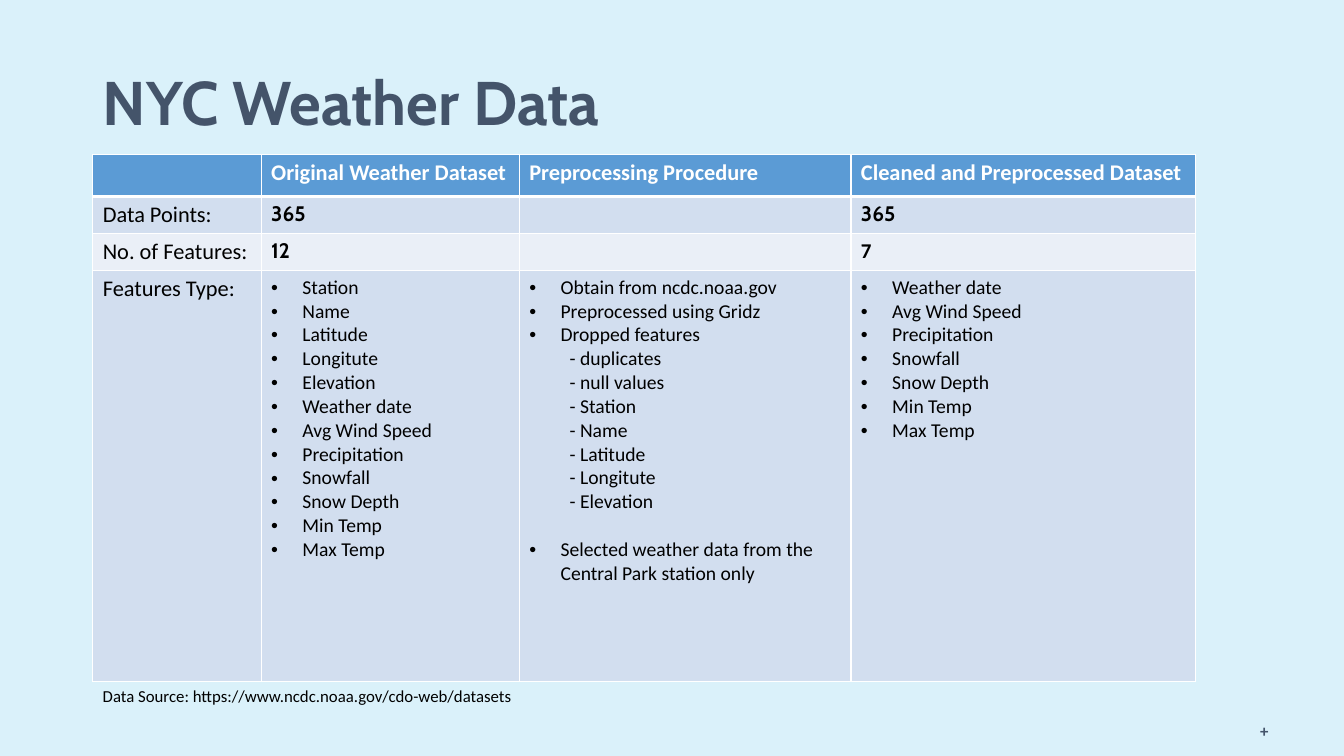
from lxml import etree
from pptx import Presentation
from pptx.dml.color import RGBColor
from pptx.enum.text import MSO_ANCHOR
from pptx.oxml.ns import qn
from pptx.util import Inches, Pt

MIDDLE = MSO_ANCHOR.MIDDLE
TOP = MSO_ANCHOR.TOP

SKY = RGBColor(0xDA, 0xF1, 0xFA)
SLATE = RGBColor(0x44, 0x54, 0x6A)
BLACK = RGBColor(0, 0, 0)
WHITE = RGBColor(0xFF, 0xFF, 0xFF)
HEADER_BLUE = RGBColor(0x5B, 0x9B, 0xD5)
DARK_BAND = RGBColor(0xD2, 0xDE, 0xEF)
LIGHT_BAND = RGBColor(0xEA, 0xEF, 0xF7)

BODY_FONT = "Calibri"
DISPLAY_FONT = "Cabin"

HEADINGS = ["", "Original Weather Dataset", "Preprocessing Procedure",
            "Cleaned and Preprocessed Dataset"]
COUNTS = [["Data Points:", "365", "", "365"],
          ["No. of Features:", "12", "", "7"]]
LOCATION = ["Station", "Name", "Latitude", "Longitute", "Elevation"]
MEASURES = ["Weather date", "Avg Wind Speed", "Precipitation", "Snowfall",
            "Snow Depth", "Min Temp", "Max Temp"]
DROPPED = ["- " + feature for feature in ["duplicates", "null values"] + LOCATION]
PROCEDURE = ["Obtain from ncdc.noaa.gov", "Preprocessed using Gridz",
             "Dropped features", *DROPPED,
             "Selected weather data from the Central Park station only"]


class WeatherSlide:
    """Holds the slide and draws its styled elements."""

    def __init__(self, deck):
        self.slide = deck.slides.add_slide(deck.slide_layouts[6])
        background = self.slide.background.fill
        background.solid()
        background.fore_color.rgb = SKY

    def style(self, paragraph, size, color, bold=False, font=BODY_FONT):
        for run in paragraph.runs:
            run.font.size = Pt(size)
            run.font.name = font
            run.font.bold = bold
            run.font.color.rgb = color
        if not paragraph.runs:
            etree.SubElement(paragraph._p, qn("a:endParaRPr"), sz=str(size * 100))

    def text(self, words, left, top, width, height, size, color,
             bold=False, font=BODY_FONT, anchor=TOP, spacing=None):
        box = self.slide.shapes.add_textbox(
            Inches(left), Inches(top), Inches(width), Inches(height))
        frame = box.text_frame
        frame.word_wrap = True
        frame.vertical_anchor = anchor
        frame.text = words
        frame.paragraphs[0].line_spacing = spacing
        self.style(frame.paragraphs[0], size, color, bold, font)

    def table(self, left, top, widths, heights):
        grid = self.slide.shapes.add_table(
            len(heights), len(widths), Inches(left), Inches(top),
            Inches(sum(widths)), Inches(sum(heights))).table
        for column, width in zip(grid.columns, widths):
            column.width = Inches(width)
        for row, height in zip(grid.rows, heights):
            row.height = Inches(height)
        return grid

    def paint(self, cell, color, top=1, bottom=1):
        properties = cell._tc.get_or_add_tcPr()
        for side, points in (("L", 1), ("R", 1), ("T", top), ("B", bottom)):
            line = etree.SubElement(properties, qn("a:ln" + side), w=str(Pt(points)))
            fill = etree.SubElement(line, qn("a:solidFill"))
            etree.SubElement(fill, qn("a:srgbClr"), val=str(WHITE))
        cell.fill.solid()
        cell.fill.fore_color.rgb = color

    def label(self, cell, words, size=16, color=BLACK, bold=False, font=BODY_FONT):
        cell.text = words
        self.style(cell.text_frame.paragraphs[0], size, color, bold, font)

    def bullets(self, cell, items):
        cell.text = "\n".join(items)
        after_dash = False
        for paragraph, item in zip(cell.text_frame.paragraphs, items):
            dashed = item.startswith("- ")
            properties = paragraph._p.get_or_add_pPr()
            if dashed:
                properties.set("marL", str(Inches(0.4)))
            else:
                properties.set("marL", str(Inches(0.31)))
                properties.set("indent", str(Inches(-0.31)))
                if after_dash:
                    paragraph.space_before = Pt(17)
                etree.SubElement(properties, qn("a:buFont"), typeface="Arial")
                etree.SubElement(properties, qn("a:buChar"), char="•")
            self.style(paragraph, 14, BLACK)
            after_dash = dashed


def main():
    deck = Presentation()
    deck.slide_width = Inches(13.33)
    deck.slide_height = Inches(7.5)
    page = WeatherSlide(deck)

    page.text("+", 12.4, 7.1, 0.26, 0.3, 12, SLATE, bold=True)
    page.text("Data Source: https://www.ncdc.noaa.gov/cdo-web/datasets",
              0.92, 6.75, 5.01, 0.3, 12, BLACK)
    page.text("NYC Weather Data", 0.92, 0.32, 11.5, 1.45, 44, SLATE,
              bold=True, font=DISPLAY_FONT, anchor=MIDDLE, spacing=0.9)

    datasets = page.table(0.92, 1.53, [1.67, 2.56, 3.29, 3.42],
                          [0.42, 0.35, 0.35, 4.08])
    bands = [HEADER_BLUE, DARK_BAND, LIGHT_BAND, DARK_BAND]
    for index, (row, band) in enumerate(zip(datasets.rows, bands)):
        for cell in row.cells:
            page.paint(cell, band, top=3 if index == 1 else 1,
                       bottom=3 if index == 0 else 1)

    for column, heading in enumerate(HEADINGS):
        page.label(datasets.cell(0, column), heading, color=WHITE, bold=True)
    for row, (name, *counts) in enumerate(COUNTS, start=1):
        page.label(datasets.cell(row, 0), name)
        for column, count in enumerate(counts, start=1):
            font = BODY_FONT if count == "7" else DISPLAY_FONT
            page.label(datasets.cell(row, column), count, 15, bold=True, font=font)
    page.label(datasets.cell(3, 0), "Features Type:")
    for column, items in enumerate([LOCATION + MEASURES, PROCEDURE, MEASURES], start=1):
        page.bullets(datasets.cell(3, column), items)

    deck.save("out.pptx")


if __name__ == "__main__":
    main()
